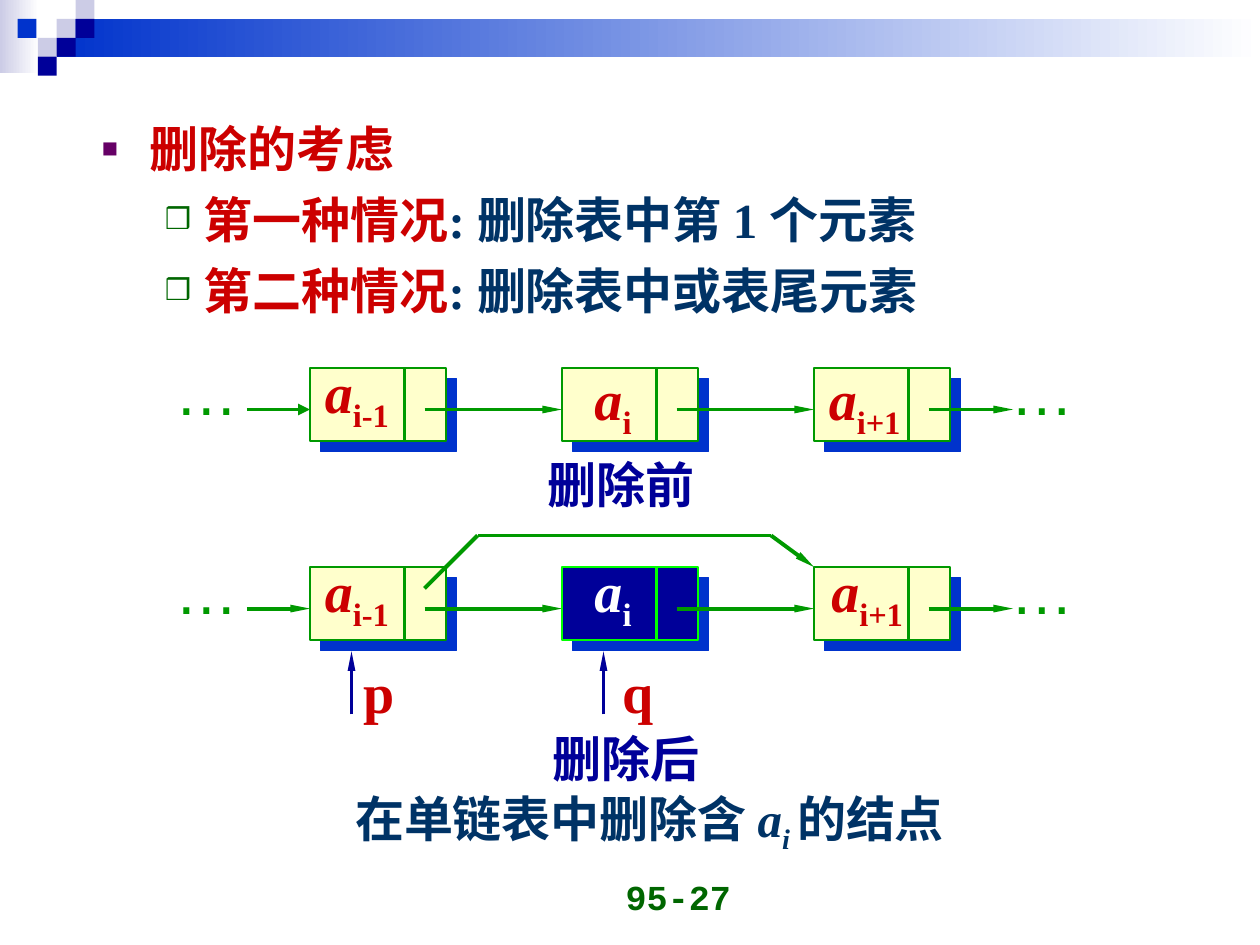
from lxml.etree import SubElement as Sub
from pptx import Presentation
from pptx.dml.color import RGBColor
from pptx.enum.shapes import MSO_CONNECTOR as Conn, MSO_SHAPE as Geo
from pptx.enum.text import MSO_ANCHOR as Anchor, MSO_AUTO_SIZE as Fit, PP_ALIGN as Align
from pptx.oxml.ns import qn
from pptx.util import Inches, Pt

GREEN, LIME, NAVY, BLUE = "009900", "00FF00", "000099", "0033CC"
RED, TEAL, PALE, CREAM, WHITE = "CC0000", "003366", "CCCCE6", "FFFFCC", "FFFFFF"
DARK, PLUM = "006600", "660066"
SERIF = "Times New Roman"
STEP, NODE_W, NODE_H, SPLIT, LINK, MID = 2, 1.08, 0.58, 0.75, 0.91, 0.33


def color(code):
    return RGBColor.from_string(code)


def place(*nums):
    return [Inches(n) for n in nums]


def rect(slide, box, fill, fade=None):
    shape = slide.shapes.add_shape(Geo.RECTANGLE, *place(*box))
    shape.shadow.inherit = False
    shape.line.fill.background()
    if fade:
        shape.fill.gradient()
        shape.fill.gradient_angle = 0
        for stop, code in zip(shape.fill.gradient_stops, (fill, fade)):
            stop.color.rgb = color(code)
    else:
        shape.fill.solid()
        shape.fill.fore_color.rgb = color(fill)
    return shape


def line(slide, start, end, code=GREEN, width=2.25, head=None):
    """Draw a line; head is the (width, length) of an arrowhead at its end."""
    link = slide.shapes.add_connector(Conn.STRAIGHT, *place(*start, *end))
    link.line.color.rgb = color(code)
    link.line.width = Pt(width)
    if head:
        Sub(link.line._get_or_add_ln(), qn("a:tailEnd"),
            type="triangle", w=head[0], len=head[1])
    Sub(link._element.spPr, qn("a:effectLst"))


def arrow(slide, start, end, code=GREEN, head=("sm", "lg")):
    line(slide, start, end, code, head=head)


def style(font, size, code, name=SERIF, bold=True):
    font.size, font.name, font.bold = Pt(size), name, bold
    font.color.rgb = color(code)


def add_run(para, text, code=None, italic=False, sub=False):
    run = para.add_run()
    run.text = text
    if code:
        run.font.color.rgb = color(code)
    if italic:
        run.font.italic = True
    if sub:
        run.font._element.set("baseline", "-25000")


def text_box(slide, box, wrap=False):
    """Add a text box; one that does not wrap grows with its text."""
    frame = slide.shapes.add_textbox(*place(*box)).text_frame
    frame.word_wrap = wrap
    frame.auto_size = Fit.NONE if wrap else Fit.SHAPE_TO_FIT_TEXT
    return frame


def label(slide, box, text, size, code, name=SERIF, bold=True):
    para = text_box(slide, box).paragraphs[0]
    add_run(para, text)
    style(para.font, size, code, name, bold)


def symbol(slide, box, index, code):
    para = text_box(slide, box).paragraphs[0]
    add_run(para, "a", italic=True)
    add_run(para, index, sub=True)
    style(para.font, 32, code)


def banner(slide, left, top, width):
    rect(slide, (left, top, 0.31, 0.58), PALE, WHITE)
    rect(slide, (left + 0.45, top + 0.15, width - 0.45, 0.3), BLUE, WHITE)
    tiles = [(3, 1, PALE), (4, 0, PALE), (4, 1, NAVY), (2, 2, PALE),
             (0.93, 1, BLUE), (3, 2, NAVY), (2, 3, NAVY)]
    for col, row, code in tiles:
        rect(slide, (left + col * 0.15, top + row * 0.15, 0.15, 0.15), code)


def bullet(para, char, code, size, left, hang):
    props = para._p.get_or_add_pPr()
    props.set("marL", str(Inches(left)))
    props.set("indent", str(-Inches(hang)))
    Sub(Sub(props, qn("a:buClr")), qn("a:srgbClr"), val=code)
    Sub(props, qn("a:buSzPct"), val=str(size * 1000))
    Sub(props, qn("a:buFont"), typeface="Arial")
    Sub(props, qn("a:buChar"), char=char)


def outline(slide, box):
    frame = text_box(slide, box, wrap=True)
    items = [("删除的考虑", ""),
             ("第一种情况", ": 删除表中第 1 个元素"),
             ("第二种情况", ": 删除表中或表尾元素")]
    for i, (key, rest) in enumerate(items):
        para = frame.add_paragraph() if i else frame.paragraphs[0]
        para.line_spacing = 1.05
        if i:
            para.level = 1
            para.space_before = Pt(5.2)
            bullet(para, "❒", DARK, 60, 0.81, 0.31)
        else:
            bullet(para, "■", PLUM, 55, 0.38, 0.38)
        add_run(para, key, RED)
        if rest:
            add_run(para, rest, TEAL)
        style(para.font, 28, RED, SERIF if i else "Arial")


def node(slide, left, top, fill=CREAM, edge=GREEN):
    shape = rect(slide, (left, top, NODE_W, NODE_H), fill)
    shape.line.color.rgb = color(edge)
    shape.line.width = Pt(0.75)
    effects = shape._element.spPr.find(qn("a:effectLst"))
    shade = Sub(effects, qn("a:outerShdw"), dist=str(Pt(8.5)),
                dir=str(45 * 60000), algn="ctr", rotWithShape="0")
    Sub(shade, qn("a:srgbClr"), val=BLUE)
    line(slide, (left + SPLIT, top), (left + SPLIT, top + NODE_H), edge, 1.5)


def chain(slide, left, top, signs, head=("sm", "lg"), gone=None):
    """Draw a row of nodes; signs holds (index, dx, dy, width) of each label."""
    y = top + MID
    arrow(slide, (left - 0.5, y), (left, y), head=head)
    for i, (index, dx, dy, width) in enumerate(signs):
        x = left + i * STEP
        node(slide, x, top, *((NAVY, LIME) if i == gone else ()))
        end = x + STEP if i < len(signs) - 1 else x + 1.58
        arrow(slide, (x + LINK, y), (end, y))
        symbol(slide, (x + dx, top + dy, width, 0.71), index,
               WHITE if i == gone else RED)
    for x in (left - 1.17, left + 5.46):
        label(slide, (x, top - 0.17, 0.7, 0.7), "…", 36, GREEN, "Arial", False)


def bypass(slide, left, top):
    """Lead the first node's link over the second node to the third."""
    start, rise = (left + LINK, top + 0.17), (left + 1.33, top - 0.25)
    fall, end = (left + 3.66, top - 0.25), (left + 2 * STEP, top)
    line(slide, start, rise)
    line(slide, rise, fall)
    arrow(slide, fall, end)


def pointer(slide, left, top, name, gap):
    arrow(slide, (left, top + 0.5), (left, top), NAVY)
    label(slide, (left + gap, top, 0.45, 0.64), name, 32, RED)


def caption(slide, box):
    para = text_box(slide, box, wrap=True).paragraphs[0]
    para.alignment = Align.CENTER
    add_run(para, "在单链表中删除含 ")
    add_run(para, "a", italic=True)
    add_run(para, "i ", italic=True, sub=True)
    add_run(para, "的结点")
    style(para.font, 28, TEAL)


def footer(slide, box):
    frame = text_box(slide, box, wrap=True)
    frame.vertical_anchor = Anchor.BOTTOM
    para = frame.paragraphs[0]
    para.alignment = Align.RIGHT
    add_run(para, "95-27")
    style(para.font, 20, DARK, "Courier New")


def main():
    deck = Presentation()
    deck.slide_width, deck.slide_height = place(10, 7.5)
    slide = deck.slides.add_slide(deck.slide_layouts[6])
    banner(slide, 0, 0, 10)
    footer(slide, (3.57, 6.83, 2.33, 0.5))
    outline(slide, (0.71, 0.87, 8.92, 2.08))
    left, before, after = 2.46, 2.92, 4.5
    chain(slide, left, before, [("i-1", 0.02, -0.13, 0.71), ("i", 0.16, -0.08, 0.5),
                                ("i+1", 0.02, -0.08, 0.77)], head=("med", "med"))
    chain(slide, left, after, [("i-1", 0.02, -0.13, 0.71), ("i", 0.16, -0.13, 0.5),
                               ("i+1", 0.04, -0.13, 0.77)], gone=1)
    bypass(slide, left, after)
    for i, (name, gap) in enumerate([("p", 0), ("q", 0.05)]):
        pointer(slide, left + 0.33 + i * STEP, after + 0.67, name, gap)
    label(slide, (4.25, 3.56, 1.38, 0.57), "删除前", 28, NAVY)
    label(slide, (4.29, 5.73, 1.38, 0.57), "删除后", 28, NAVY)
    caption(slide, (1.99, 6.21, 6.33, 0.66))
    deck.save("out.pptx")


if __name__ == "__main__":
    main()
